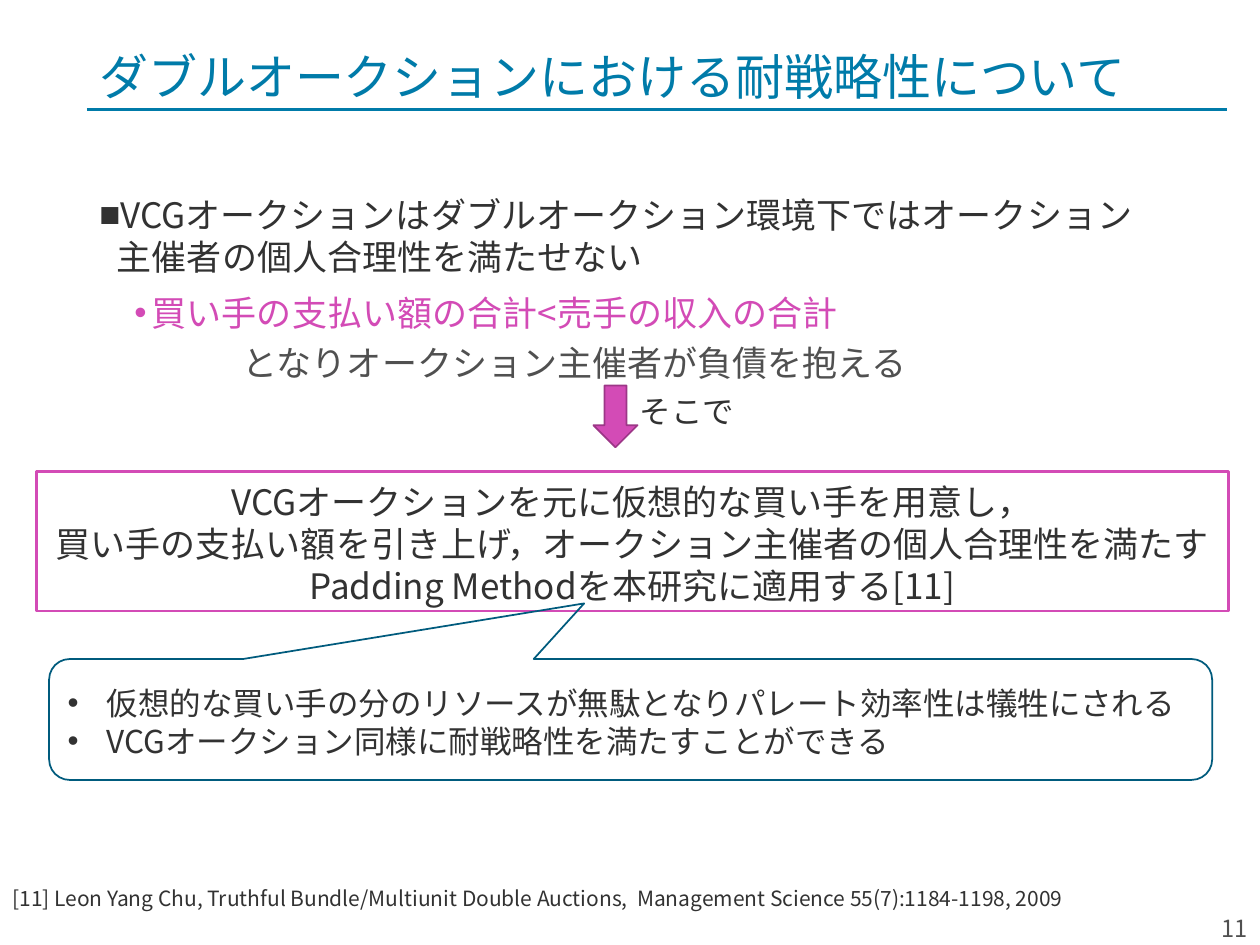
"""Build the slide on strategy-proofness in double auctions."""
from dataclasses import dataclass
from typing import Optional

import lxml.etree
import pptx
import pptx.dml.color
import pptx.enum.shapes
import pptx.enum.text
import pptx.oxml.ns
import pptx.util

Pt = pptx.util.Pt
RGBColor = pptx.dml.color.RGBColor
Align = pptx.enum.text.PP_ALIGN
Anchor = pptx.enum.text.MSO_ANCHOR
Preset = pptx.enum.shapes.MSO_SHAPE
qn = pptx.oxml.ns.qn

BLUE = RGBColor(0x00, 0x7B, 0xA9)
DARK_BLUE = RGBColor(0x00, 0x5B, 0x7D)
PINK = RGBColor(0xD3, 0x4B, 0xB6)
DARK_PINK = RGBColor(0x9C, 0x37, 0x87)
INK = RGBColor(0x32, 0x32, 0x32)
GREY = RGBColor(0x50, 0x50, 0x50)
FONT = "Noto Sans CJK JP"
TITLE_FONT = "Noto Sans CJK SC"


@dataclass(frozen=True)
class Box:
    left: float
    top: float
    width: float
    height: float

    def lengths(self) -> tuple:
        return tuple(Pt(v) for v in (self.left, self.top, self.width, self.height))


def prepare(frame, anchor=Anchor.TOP, wrap: bool = True):
    frame.word_wrap = wrap
    frame.vertical_anchor = anchor
    frame.margin_left = frame.margin_right = Pt(7.2)
    frame.margin_top, frame.margin_bottom = Pt(5), Pt(2.2)
    return frame


def add_text_area(slide, box: Box, anchor=Anchor.TOP, wrap: bool = True):
    return prepare(slide.shapes.add_textbox(*box.lengths()).text_frame, anchor, wrap)


def add_outline(slide, preset, box: Box, line: RGBColor, weight: float,
                fill: Optional[RGBColor] = None):
    shape = slide.shapes.add_shape(preset, *box.lengths())
    shape.shadow.inherit = False
    if fill is None:
        shape.fill.background()
    else:
        shape.fill.solid()
        shape.fill.fore_color.rgb = fill
    shape.line.color.rgb = line
    shape.line.width = Pt(weight)
    return shape


def write(frame, text: str, *, size: float = 20, color: RGBColor = INK,
          font: str = FONT, align=Align.LEFT, bullet: str = "", left: float = 0,
          hanging: float = 0, before: float = 0, spacing: float = 1.2,
          level: int = 0) -> None:
    paragraph = frame.add_paragraph() if frame.text else frame.paragraphs[0]
    paragraph.text = text
    paragraph.level = level
    paragraph.alignment = align
    paragraph.space_before = Pt(before)
    paragraph.line_spacing = Pt(size * spacing)
    properties = paragraph._p.get_or_add_pPr()
    properties.set("marL", str(int(Pt(left))))
    properties.set("indent", str(int(Pt(-hanging))))
    if bullet:
        lxml.etree.SubElement(properties, qn("a:buFont")).set("typeface", "Arial")
        lxml.etree.SubElement(properties, qn("a:buChar")).set("char", bullet)
    for run in paragraph.runs:
        run.font.size = Pt(size)
        run.font.color.rgb = color
        run.font.name = font
        east_asian = lxml.etree.SubElement(run._r.get_or_add_rPr(), qn("a:ea"))
        east_asian.set("typeface", font)


def add_rule(slide, left: float, right: float, y: float) -> None:
    rule = slide.shapes.add_connector(
        pptx.enum.shapes.MSO_CONNECTOR.STRAIGHT, Pt(left), Pt(y), Pt(right), Pt(y))
    rule.line.color.rgb = BLUE
    rule.line.width = Pt(1.5)
    lxml.etree.SubElement(rule._element.spPr, qn("a:effectLst"))


def main() -> None:
    deck = pptx.Presentation()
    deck.slide_width, deck.slide_height = Pt(720), Pt(540)
    slide = deck.slides.add_slide(deck.slide_layouts[6])

    add_rule(slide, 49.7, 701.3, 62.6)

    citation = add_text_area(slide, Box(0, 483.1, 706.3, 56.9), Anchor.MIDDLE)
    write(citation, "[11] Leon Yang Chu, Truthful Bundle/Multiunit Double Auctions, "
          " Management Science 55(7):1184-1198, 2009", size=12)
    page_number = add_text_area(slide, Box(676.1, 518.4, 43.9, 21.6), Anchor.MIDDLE)
    write(page_number, "11", size=13.5, color=GREY, align=Align.RIGHT)

    problem = add_text_area(slide, Box(49.7, 105.8, 670.3, 368.6))
    write(problem, "VCGオークションはダブルオークション環境下ではオークション\n"
          "主催者の個人合理性を満たせない", bullet="■", left=10, hanging=10)
    write(problem, "買い手の支払い額の合計<売手の収入の合計", color=PINK, bullet="•",
          left=30, hanging=10, before=2.8, spacing=1.44, level=1)
    write(problem, "となりオークション主催者が負債を抱える", color=GREY,
          left=82, spacing=1.44, level=1)

    title = add_text_area(slide, Box(49.7, 18.7, 620.6, 43.9), Anchor.BOTTOM)
    write(title, "ダブルオークションにおける耐戦略性について", size=28, color=BLUE,
          font=TITLE_FONT, spacing=1.08)

    proposal = add_outline(slide, Preset.RECTANGLE, Box(20.9, 269.3, 681.1, 79.9), PINK, 1.5)
    proposal_text = prepare(proposal.text_frame, wrap=False)
    for line in ("VCGオークションを元に仮想的な買い手を用意し，",
                 "買い手の支払い額を引き上げ，オークション主催者の個人合理性を満たす",
                 "Padding Methodを本研究に適用する[11]"):
        write(proposal_text, line, align=Align.CENTER)

    remarks = add_outline(slide, Preset.ROUNDED_RECTANGULAR_CALLOUT,
                          Box(28.1, 376.6, 664.6, 69.1), DARK_BLUE, 1)
    for index, value in enumerate((-0.04, -0.96, 0.17)):
        remarks.adjustments[index] = value
    remarks_text = prepare(remarks.text_frame, Anchor.MIDDLE)
    for line in ("仮想的な買い手の分のリソースが無駄となりパレート効率性は犠牲にされる",
                 "VCGオークション同様に耐戦略性を満たすことができる"):
        write(remarks_text, line, size=18, bullet="•", left=22.5, hanging=22.5)

    add_outline(slide, Preset.DOWN_ARROW, Box(339.1, 220.3, 25.2, 35.3), DARK_PINK, 1, PINK)
    therefore = add_text_area(slide, Box(358.6, 218.9, 69.1, 28.8), wrap=False)
    write(therefore, "そこで", size=18)

    deck.save("out.pptx")


if __name__ == "__main__":
    main()
